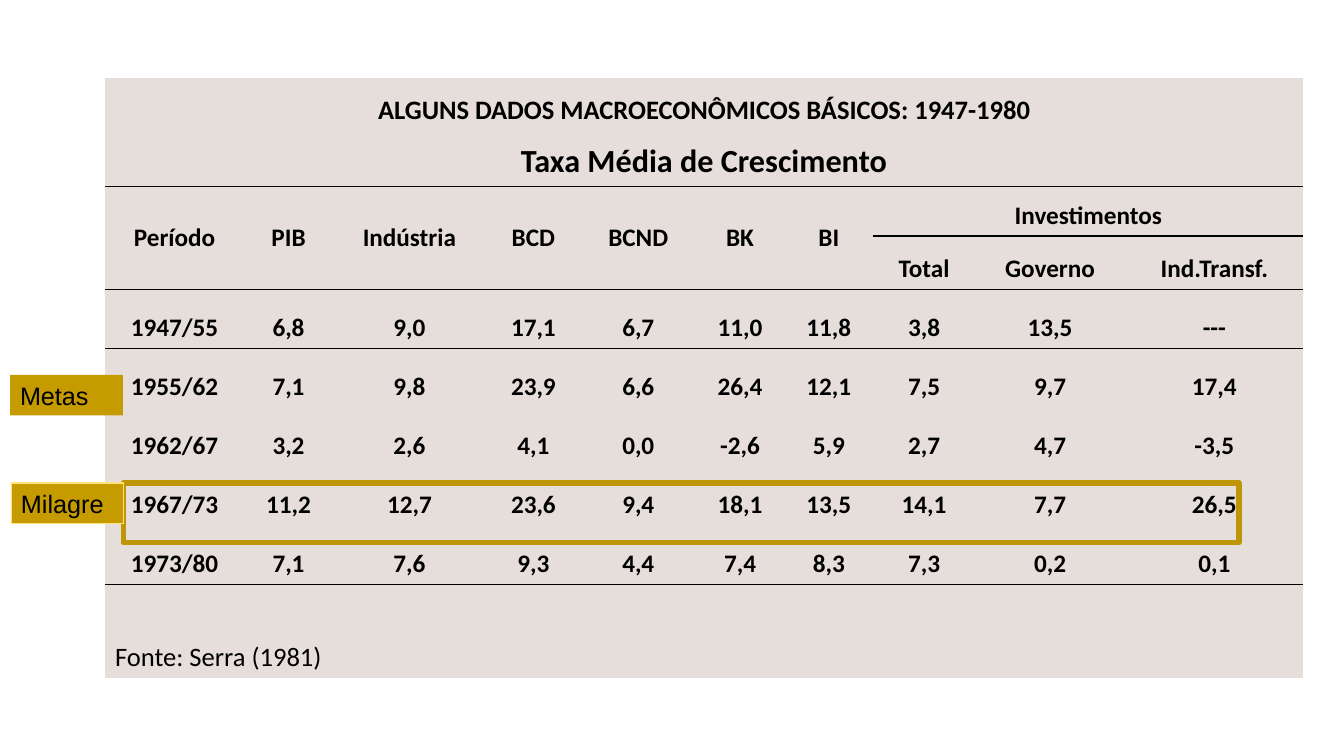
from dataclasses import dataclass

from lxml.etree import SubElement
from pptx import Presentation
from pptx.dml.color import RGBColor as Rgb
from pptx.enum.shapes import MSO_SHAPE as Form
from pptx.enum.text import MSO_ANCHOR as Anchor, MSO_AUTO_SIZE as Auto, PP_ALIGN as Align
from pptx.oxml.ns import qn
from pptx.slide import Slide
from pptx.table import Table, _Cell as Cell
from pptx.util import Pt

HUES = {
    "ink": "000000",
    "paper": "E5DEDB",
    "gold": "C59B00",
    "frame": "BD9506",
    "edge": "FFE279",
}
PLAIN = "{2D5ABB26-0587-4C30-8999-92F81FD0307C}"
COLS = [99.4, 63.4, 109.4, 67.7, 82.1, 63.4, 63.4, 72.7, 107.3, 127.4]
ROWS = [38.9, 38.9, 35.4, 38.4] + [42.1] * 5 + [67.1]
RULED = {1, 3, 8}
DATA = [
    "1947/55 6,8 9,0 17,1 6,7 11,0 11,8 3,8 13,5 ---",
    "1955/62 7,1 9,8 23,9 6,6 26,4 12,1 7,5 9,7 17,4",
    "1962/67 3,2 2,6 4,1 0,0 -2,6 5,9 2,7 4,7 -3,5",
    "1967/73 11,2 12,7 23,6 9,4 18,1 13,5 14,1 7,7 26,5",
    "1973/80 7,1 7,6 9,3 4,4 7,4 8,3 7,3 0,2 0,1",
]
HEADS = ["Período", "PIB", "Indústria", "BCD", "BCND", "BK", "BI"]
TEXTS = [
    ["ALGUNS DADOS MACROECONÔMICOS BÁSICOS: 1947-1980"],
    ["Taxa Média de Crescimento"],
    HEADS + ["Investimentos"],
    [""] * len(HEADS) + ["Total", "Governo", "Ind.Transf."],
    *[line.split() for line in DATA],
    ["Fonte: Serra (1981)"],
]
SIZES = {0: 19, 1: 23, 9: 19}


@dataclass
class Span:
    row: int
    col: int
    high: int
    wide: int


@dataclass
class Box:
    left: float
    top: float
    wide: float
    high: float
    text: str = ""
    fill: str = ""
    line: str = ""
    thick: float = 0.75


SPANS = [
    Span(0, 0, 1, 10),
    Span(1, 0, 1, 10),
    *[Span(2, col, 2, 1) for col in range(len(HEADS))],
    Span(2, 7, 1, 3),
    Span(9, 0, 1, 3),
]
BOXES = [
    Box(88, 345, 797, 42.5, line="frame", thick=3.78),
    Box(7.9, 345, 80.6, 29, "Milagre", "gold", "edge"),
    Box(7.2, 267.8, 80.6, 29, "Metas", "gold"),
]


def tone(name: str) -> Rgb:
    return Rgb.from_string(HUES[name])


def add_rule(cell: Cell, side: str) -> None:
    line = SubElement(cell._tc.get_or_add_tcPr(), qn(f"a:{side}"), w=str(Pt(1)))
    fill = SubElement(line, qn("a:solidFill"))
    SubElement(fill, qn("a:srgbClr"), val=HUES["ink"])


def style_cell(cell: Cell, row: int, text: str) -> None:
    if row - 1 in RULED:
        add_rule(cell, "lnT")
    if row + cell.span_height - 1 in RULED:
        add_rule(cell, "lnB")
    cell.fill.solid()
    cell.fill.fore_color.rgb = tone("paper")
    tall = cell.is_merge_origin and cell.span_height > 1
    cell.vertical_anchor = Anchor.MIDDLE if tall else Anchor.BOTTOM
    if not text:
        return
    cell.text = text
    par = cell.text_frame.paragraphs[0]
    last = row == len(ROWS) - 1
    par.alignment = Align.LEFT if last else Align.CENTER
    font = par.font
    font.name = "Calibri"
    font.size = Pt(SIZES.get(row, 18))
    font.bold = not last
    font.color.rgb = tone("ink")


def add_grid(slide: Slide) -> None:
    frame = slide.shapes.add_table(
        len(ROWS), len(COLS), Pt(75), Pt(55.4), Pt(sum(COLS)), Pt(sum(ROWS))
    )
    grid: Table = frame.table
    grid.first_row = grid.horz_banding = False
    grid._tbl.tblPr.find(qn("a:tableStyleId")).text = PLAIN
    for col, wide in zip(grid.columns, COLS):
        col.width = Pt(wide)
    for row, high in zip(grid.rows, ROWS):
        row.height = Pt(high)
    for span in SPANS:
        end = grid.cell(span.row + span.high - 1, span.col + span.wide - 1)
        grid.cell(span.row, span.col).merge(end)
    for row, texts in enumerate(TEXTS):
        for col in range(len(COLS)):
            text = texts[col] if col < len(texts) else ""
            style_cell(grid.cell(row, col), row, text)


def add_box(slide: Slide, box: Box) -> None:
    shape = slide.shapes.add_shape(
        Form.RECTANGLE, Pt(box.left), Pt(box.top), Pt(box.wide), Pt(box.high)
    )
    shape.shadow.inherit = False
    if box.fill:
        shape.fill.solid()
        shape.fill.fore_color.rgb = tone(box.fill)
    else:
        shape.fill.background()
    if box.line:
        shape.line.color.rgb = tone(box.line)
        shape.line.width = Pt(box.thick)
    else:
        shape.line.fill.background()
    if box.text:
        body = shape.text_frame
        body.text = box.text
        body.word_wrap = True
        body.auto_size = Auto.SHAPE_TO_FIT_TEXT
        body.vertical_anchor = Anchor.TOP
        par = body.paragraphs[0]
        par.alignment = Align.LEFT
        par.font.name = "Arial"
        par.font.size = Pt(18)
        par.font.color.rgb = tone("ink")


def main() -> None:
    deck = Presentation()
    deck.slide_width, deck.slide_height = Pt(960), Pt(540)
    slide = deck.slides.add_slide(deck.slide_layouts[6])
    add_grid(slide)
    for box in BOXES:
        add_box(slide, box)
    deck.save("out.pptx")


if __name__ == "__main__":
    main()
